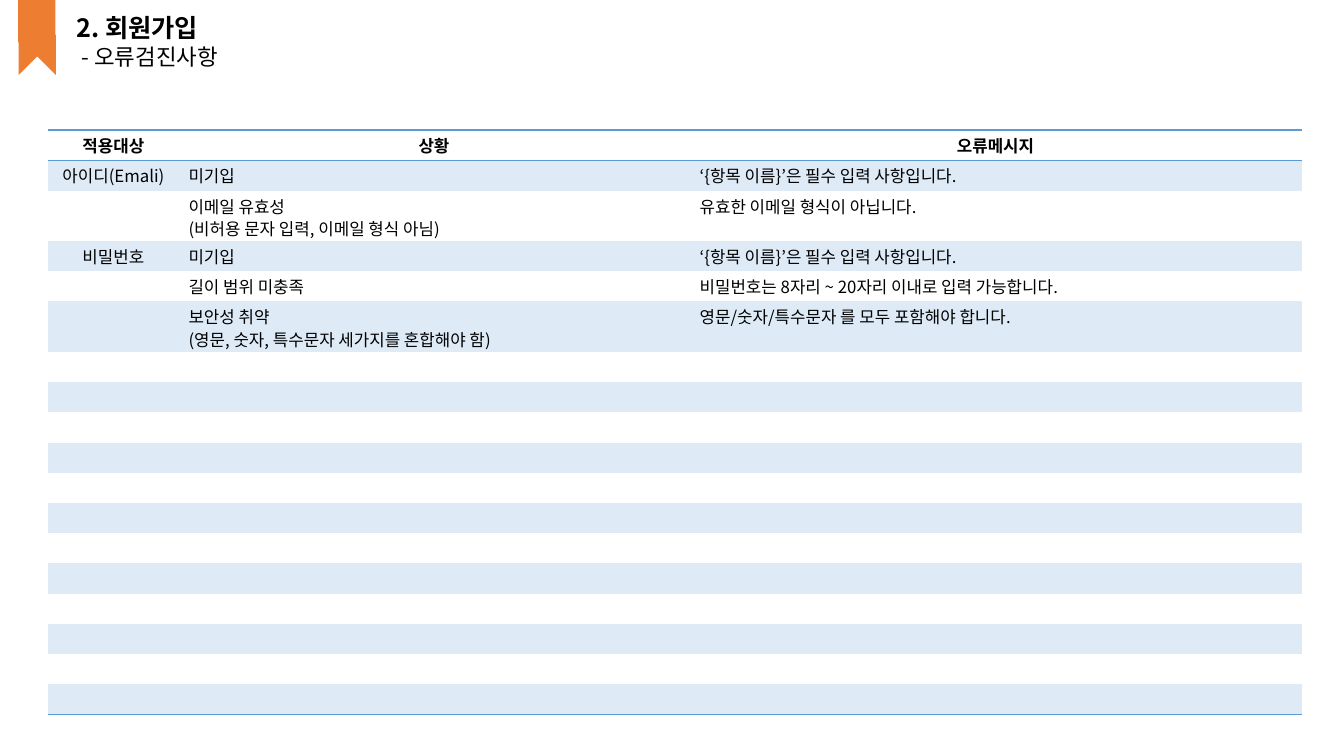
from lxml import etree
from pptx import Presentation
from pptx.dml.color import RGBColor
from pptx.enum.shapes import MSO_SHAPE
from pptx.enum.text import MSO_ANCHOR, MSO_AUTO_SIZE, PP_ALIGN
from pptx.oxml import parse_xml
from pptx.oxml.ns import qn
from pptx.util import Inches, Pt

CENTER, LEFT = PP_ALIGN.CENTER, PP_ALIGN.LEFT
TOP, NO_FIT = MSO_ANCHOR.TOP, MSO_AUTO_SIZE.NONE
RECT, CHEVRON = MSO_SHAPE.RECTANGLE, MSO_SHAPE.CHEVRON
FONT = "Noto Sans CJK KR"
BLACK, ORANGE, BLUE, PALE = "000000", "ED7D31", "5B9BD5", "DEEBF7"
NO_STYLE = "{2D5ABB26-0587-4C30-8999-92F81FD0307C}"
DRAW_NS = "http://schemas.openxmlformats.org/drawingml/2006/main"


def color(code):
    return RGBColor.from_string(code)


def style(para, size, bold, pitch, align):
    """Format one paragraph, also when it holds no text."""
    para.alignment = align
    para.line_spacing = Pt(pitch)
    para.space_before = Pt(0)
    for run in para.runs:
        run.font.size, run.font.bold, run.font.name = Pt(size), bold, FONT
        run.font.color.rgb = color(BLACK)
        east = etree.SubElement(run.font._element, qn("a:ea"))
        east.set("typeface", FONT)
    if not para.runs:
        end = etree.SubElement(para._p, qn("a:endParaRPr"))
        end.set("sz", str(size * 100))


deck = Presentation()
deck.slide_width, deck.slide_height = Inches(13.33), Inches(7.5)
slide = deck.slides.add_slide(deck.slide_layouts[5])

# Title
title = slide.shapes.title
title.left, title.top = Inches(0.66), Inches(0.07)
title.width, title.height = Inches(1.81), Inches(0.67)
frame = title.text_frame
frame.text = "2. 회원가입\n - 오류검진사항"
frame.word_wrap = False
frame.auto_size = NO_FIT
frame.vertical_anchor = TOP
head, sub = frame.paragraphs
style(head, 18, True, 21.6, LEFT)
style(sub, 16, False, 20, LEFT)

# Bookmark ribbon
for kind, x, y, w, h, turn in (
    (CHEVRON, 0.08, 0.27, 0.58, 0.37, 270),
    (RECT, 0.18, 0, 0.37, 0.42, 0),
):
    part = slide.shapes.add_shape(kind, Inches(x), Inches(y), Inches(w), Inches(h))
    part.rotation = turn
    part.shadow.inherit = False
    part.fill.solid()
    part.fill.fore_color.rgb = color(ORANGE)
    part.line.fill.background()

# Error table
NEEDED = "‘{항목 이름}’은 필수 입력 사항입니다."
ROWS = 18
WIDTHS = (1.29, 5.07, 6.07)
entries = [
    ("적용대상", "상황", "오류메시지"),
    ("아이디(Emali)", "미기입", NEEDED),
    ("", "이메일 유효성\n(비허용 문자 입력, 이메일 형식 아님)", "유효한 이메일 형식이 아닙니다."),
    ("비밀번호", "미기입", NEEDED),
    ("", "길이 범위 미충족", "비밀번호는 8자리 ~ 20자리 이내로 입력 가능합니다."),
    ("", "보안성 취약\n(영문, 숫자, 특수문자 세가지를 혼합해야 함)",
     "영문/숫자/특수문자 를 모두 포함해야 합니다."),
]
entries += [("", "", "")] * (ROWS - len(entries))

table = slide.shapes.add_table(
    ROWS, len(WIDTHS), Inches(0.48), Inches(1.29), Inches(sum(WIDTHS)), Inches(5.8)
).table
table.first_row = table.horz_banding = False
table._tbl.tblPr[0].text = NO_STYLE
for column, width in zip(table.columns, WIDTHS):
    column.width = Inches(width)

for r, entry in enumerate(entries):
    lines = max(text.count("\n") + 1 for text in entry)
    table.rows[r].height = Inches(0.1 + 0.2 * lines)
    edges = {0: ("lnT", "lnB"), ROWS - 1: ("lnB",)}.get(r, ())
    for c, text in enumerate(entry):
        cell = table.cell(r, c)
        cell.text = text
        cell.margin_top, cell.margin_bottom = Inches(0.05), 0
        for para in cell.text_frame.paragraphs:
            style(para, 12, r == 0, 16, CENTER if r == 0 or c == 0 else LEFT)
        if r % 2:
            cell.fill.solid()
            cell.fill.fore_color.rgb = color(PALE)
        else:
            cell.fill.background()
        for i, edge in enumerate(edges):
            cell._tc.tcPr.insert(i, parse_xml(
                f'<a:{edge} xmlns:a="{DRAW_NS}" w="{Pt(1)}"><a:solidFill>'
                f'<a:srgbClr val="{BLUE}"/></a:solidFill></a:{edge}>'
            ))

deck.save("out.pptx")
